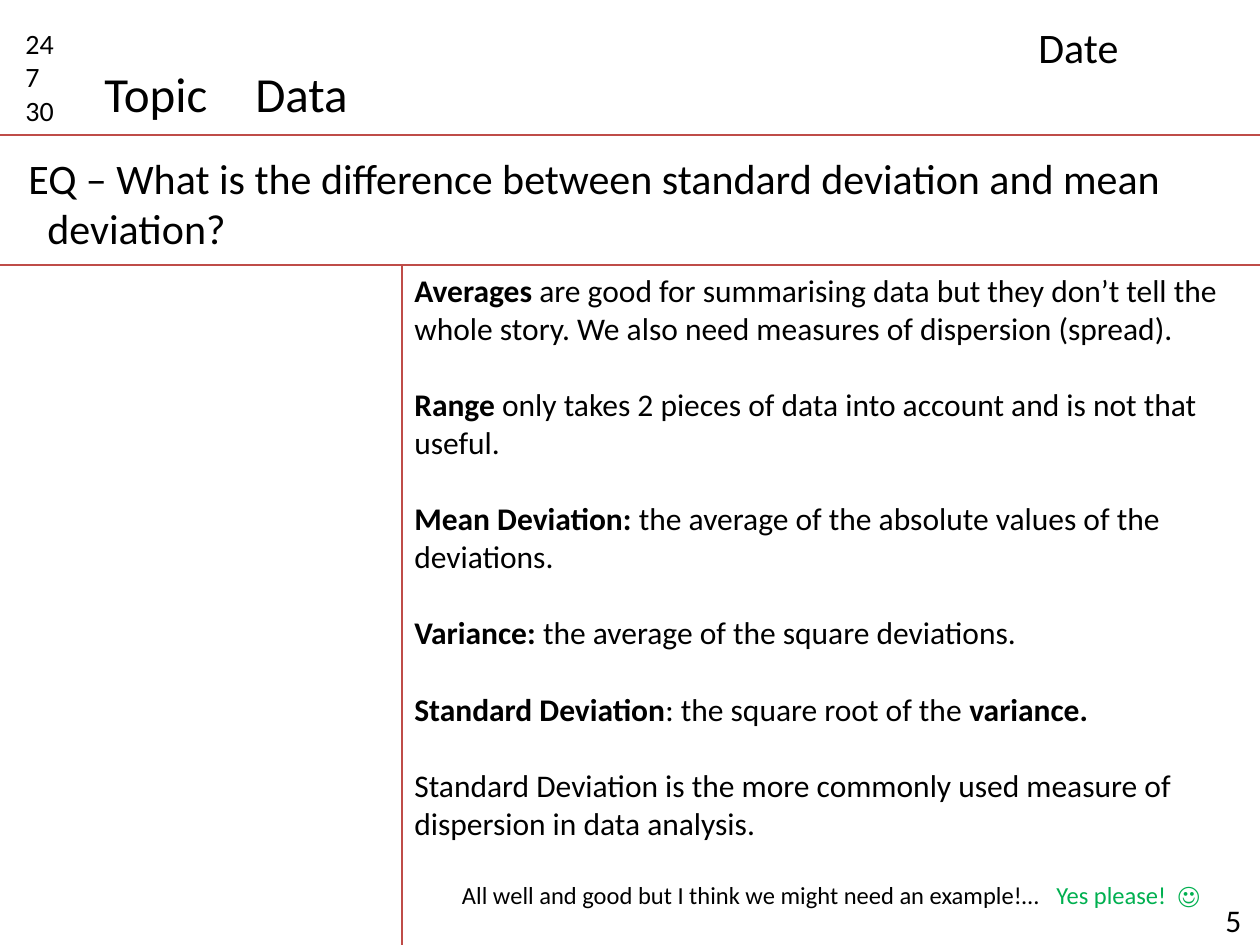
from dataclasses import dataclass

from lxml import etree
from pptx import Presentation
from pptx.dml.color import RGBColor
from pptx.enum.shapes import MSO_CONNECTOR
from pptx.enum.text import MSO_AUTO_SIZE, PP_ALIGN
from pptx.oxml.ns import qn
from pptx.slide import Slide
from pptx.util import Emu, Pt

STRAIGHT = MSO_CONNECTOR.STRAIGHT
GROW = MSO_AUTO_SIZE.SHAPE_TO_FIT_TEXT
LEFT, CENTER = PP_ALIGN.LEFT, PP_ALIGN.CENTER
EMU_PER_PX = 914400 / 126
WIDTH, HEIGHT = 1260, 945
HEADER_Y, QUESTION_Y, MARGIN_X = 135, 265, 402
FONT = "Calibri"
COLORS = {"text": "000000", "rule": "BF4C48", "reply": "00B050"}


@dataclass(frozen=True)
class Run:
    text: str
    bold: bool = False
    color: str = "text"
    spacing: float = 0


@dataclass(frozen=True)
class Rule:
    x1: int
    y1: int
    x2: int
    y2: int


@dataclass(frozen=True)
class TextBox:
    x: int
    y: int
    width: int
    height: int
    size: int
    lines: tuple[str, ...]
    wrap: bool = True
    hanging: int = 0


RULES = (
    Rule(0, HEADER_Y, WIDTH, HEADER_Y),
    Rule(0, QUESTION_Y, WIDTH, QUESTION_Y),
    Rule(MARGIN_X, QUESTION_Y, MARGIN_X, HEIGHT),
)
HEADINGS = (
    TextBox(1213, 895, 47, 50, 18, ("5",)),
    TextBox(13, 20, 79, 115, 16, ("24", "7", "30")),
    TextBox(92, 57, 130, 72, 28, ("Topic",), wrap=False),
    TextBox(1026, 15, 218, 63, 24, ("Date",)),
    TextBox(16, 146, 1227, 115, 24, (
        "EQ – What is the difference between standard deviation and mean deviation?",
    ), hanging=19),
    TextBox(243, 57, 694, 72, 28, ("Data",)),
)
NOTES = (
    (Run("Averages", bold=True),
     Run(" are good for summarising data but they don’t tell the whole story. "
         "We also need measures of dispersion (spread).")),
    (Run("Range", bold=True),
     Run(" only takes 2 pieces of data into account and is not that useful.")),
    (Run("Mean Deviation: ", bold=True),
     Run("the average of the absolute values of the deviations.")),
    (Run("Variance: ", bold=True), Run("the average of the square deviations.")),
    (Run("Standard Deviation", bold=True), Run(": the square root of the "),
     Run("variance.", bold=True)),
    (Run("Standard Deviation is the more commonly used measure of dispersion "
         "in data analysis."),),
)
CLOSING = (
    Run("All well and good but I think we might need an example!…"),
    Run(" ", spacing=6.3),
    Run("Yes please!", color="reply"),
    Run(" ", color="reply", spacing=3.2),
    Run("☺", color="reply"),
)


def px(length: int) -> Emu:
    """Turn pixels into EMU."""
    return Emu(round(length * EMU_PER_PX))


def add_rule(slide: Slide, rule: Rule) -> None:
    """Draw one thin ruled line."""
    line = slide.shapes.add_connector(
        STRAIGHT, px(rule.x1), px(rule.y1), px(rule.x2), px(rule.y2))
    line.line.color.rgb = RGBColor.from_string(COLORS["rule"])
    line.line.width = Pt(0.75)
    etree.SubElement(line._element.spPr, qn("a:effectLst"))


def add_frame(slide: Slide, x: int, y: int, width: int, height: int, wrap: bool = True):
    """Add an empty text box and return its text frame."""
    shape = slide.shapes.add_textbox(px(x), px(y), px(width), px(height))
    frame = shape.text_frame
    frame.word_wrap = wrap
    frame.auto_size = GROW
    return frame


def write(paragraph, runs: tuple[Run, ...], *, size: int, align=LEFT,
          space_before: float = 0, hanging: int = 0) -> None:
    """Fill a paragraph with formatted runs."""
    paragraph.alignment = align
    paragraph.space_before = Pt(space_before)
    if hanging:
        properties = paragraph._p.get_or_add_pPr()
        properties.set("marL", str(px(hanging)))
        properties.set("indent", str(-px(hanging)))
    for item in runs:
        run = paragraph.add_run()
        run.text = item.text
        run.font.name = FONT
        run.font.size = Pt(size)
        run.font.bold = item.bold
        run.font.color.rgb = RGBColor.from_string(COLORS[item.color])
        if item.spacing:
            run._r.get_or_add_rPr().set("spc", str(round(item.spacing * 100)))


def add_heading(slide: Slide, box: TextBox) -> None:
    """Draw a plain text box with one paragraph per line."""
    frame = add_frame(slide, box.x, box.y, box.width, box.height, box.wrap)
    for index, line in enumerate(box.lines):
        paragraph = frame.add_paragraph() if index else frame.paragraphs[0]
        write(paragraph, (Run(line),), size=box.size, hanging=box.hanging)


def add_notes(slide: Slide) -> None:
    """Draw the definitions and the closing remark."""
    frame = add_frame(slide, MARGIN_X, QUESTION_Y, WIDTH - MARGIN_X, 653)
    for index, runs in enumerate(NOTES):
        paragraph = frame.add_paragraph() if index else frame.paragraphs[0]
        write(paragraph, runs, size=18, space_before=22 if index else 0)
    write(frame.add_paragraph(), CLOSING, size=14, align=CENTER, space_before=22)


def main() -> None:
    """Build and save the slide."""
    presentation = Presentation()
    presentation.slide_width = px(WIDTH)
    presentation.slide_height = px(HEIGHT)
    slide = presentation.slides.add_slide(presentation.slide_layouts[6])
    for rule in RULES:
        add_rule(slide, rule)
    for box in HEADINGS:
        add_heading(slide, box)
    add_notes(slide)
    presentation.save("out.pptx")


if __name__ == "__main__":
    main()
